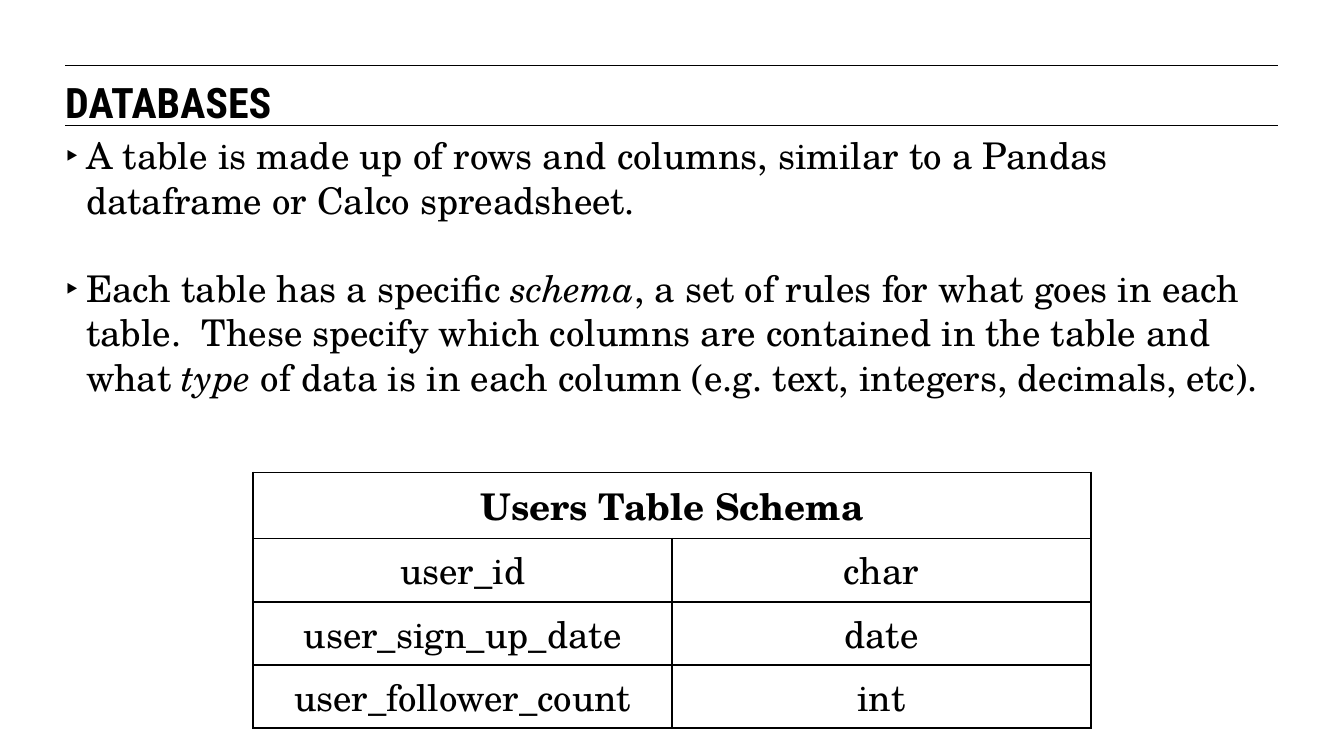
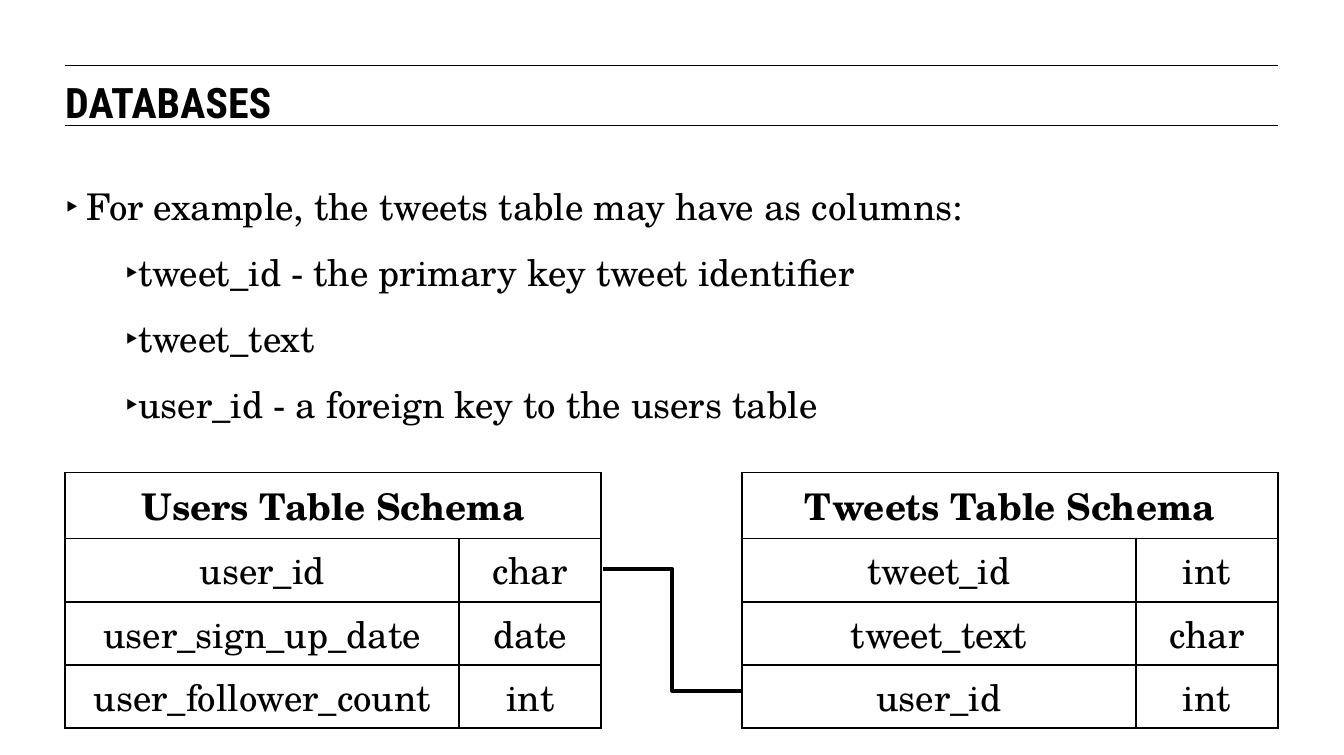
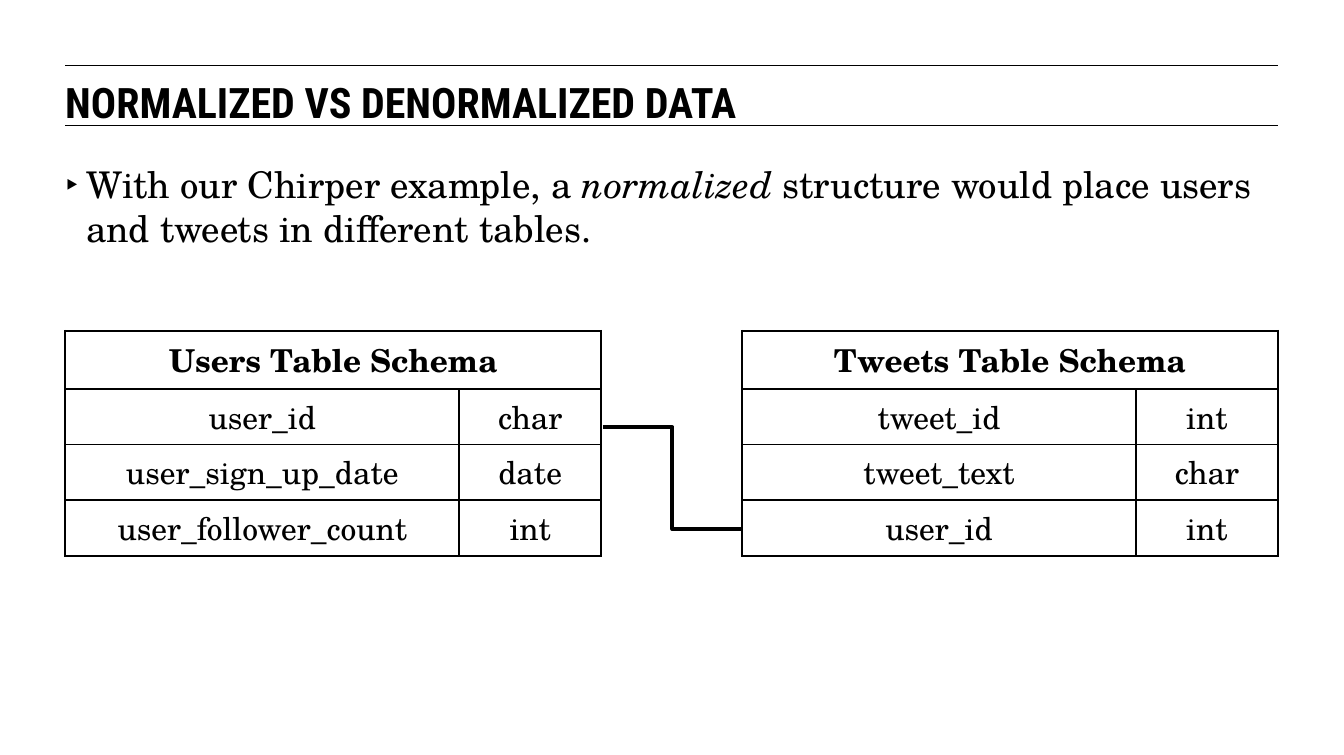
from dataclasses import dataclass

import pptx
import pptx.dml.color
import pptx.enum.shapes
import pptx.enum.text
import pptx.oxml.ns
import pptx.presentation
import pptx.shapes.connector
import pptx.slide
import pptx.table
import pptx.text.text
import pptx.util
from lxml import etree

Inches = pptx.util.Inches
Pt = pptx.util.Pt
qn = pptx.oxml.ns.qn


@dataclass(frozen=True)
class Theme:
    ink: str = "000000"
    title_font: str = "Roboto Condensed"
    body_font: str = "TeX Gyre Schola"
    title_size: float = 32
    body_size: float = 28
    compact_size: float = 24
    rule_width: float = 0.75
    border_width: float = 1.47
    link_width: float = 3
    left: float = 0.69
    width: float = 12.83
    rule_tops: tuple[float, ...] = (0.69, 1.33)


THEME = Theme()
INK = pptx.dml.color.RGBColor.from_string(THEME.ink)
FRAME_FORMAT = {
    "margin_left": 0, "margin_right": 0, "margin_top": 0, "margin_bottom": 0,
    "word_wrap": True,
    "auto_size": pptx.enum.text.MSO_AUTO_SIZE.NONE,
    "vertical_anchor": pptx.enum.text.MSO_ANCHOR.TOP,
}
BULLET_INDENTS = ((0.22, -0.28), (0.72, -0.09))


@dataclass(frozen=True)
class Bullet:
    """A list item; words between asterisks are italic."""
    text: str
    level: int = 0
    spacing: float = 1.0
    gap_before: float = 0


@dataclass(frozen=True)
class Schema:
    title: str
    columns: tuple[tuple[str, str], ...]


@dataclass(frozen=True)
class SchemaPlace:
    schema: Schema
    left: float
    top: float
    widths: tuple[float, float] = (4.17, 1.5)
    row_height: float = 0.64
    size: float = THEME.body_size


@dataclass(frozen=True)
class KeyLink:
    """A foreign-key line between two tables."""
    start: tuple[float, float]
    end: tuple[float, float]


@dataclass(frozen=True)
class Page:
    title: str
    body_top: float
    bullets: tuple[Bullet, ...]
    schemas: tuple[SchemaPlace, ...]
    links: tuple[KeyLink, ...] = ()


USERS = Schema("Users Table Schema", (
    ("user_id", "char"), ("user_sign_up_date", "date"), ("user_follower_count", "int")))
TWEETS = Schema("Tweets Table Schema", (
    ("tweet_id", "int"), ("tweet_text", "char"), ("user_id", "int")))
USERS_LEFT, TWEETS_LEFT, USERS_RIGHT = THEME.left, 7.85, 6.38

PAGES = (
    Page(
        "DATABASES", 1.11,
        (Bullet("A table is made up of rows and columns, similar to a Pandas "
                "dataframe or Calco spreadsheet."),
         Bullet("Each table has a specific *schema*, a set of rules for what goes in each "
                "table.  These specify which columns are contained in the table and what "
                "*type* of data is in each column (e.g. text, integers, decimals, etc).",
                gap_before=34)),
        (SchemaPlace(USERS, 2.68, 5, widths=(4.43, 4.43)),),
    ),
    Page(
        "DATABASES", 1.41,
        (Bullet("For example, the tweets table may have as columns:", spacing=1.5),
         *(Bullet(column, level=1, spacing=1.5) for column in (
             "tweet_id - the primary key tweet identifier",
             "tweet_text",
             "user_id - a foreign key to the users table"))),
        (SchemaPlace(USERS, USERS_LEFT, 5), SchemaPlace(TWEETS, TWEETS_LEFT, 5)),
        (KeyLink((USERS_RIGHT, 6.02), (TWEETS_LEFT, 7.31)),),
    ),
    Page(
        "NORMALIZED VS DENORMALIZED DATA", 1.41,
        (Bullet("With our Chirper example, a *normalized* structure would place users "
                "and tweets in different tables."),),
        tuple(SchemaPlace(schema, left, 3.5, row_height=0.58, size=THEME.compact_size)
              for schema, left in ((USERS, USERS_LEFT), (TWEETS, TWEETS_LEFT))),
        (KeyLink((USERS_RIGHT, 4.52), (TWEETS_LEFT, 5.6)),),
    ),
)


def apply_format(target: object, values: dict[str, object]) -> None:
    for name, value in values.items():
        setattr(target, name, value)


def add_run(paragraph: pptx.text.text._Paragraph, text: str, font: str, size: float,
            bold: bool = False, italic: bool = False) -> None:
    run = paragraph.add_run()
    run.text = text
    apply_format(run.font, {"name": font, "size": Pt(size), "bold": bold, "italic": italic})
    run.font.color.rgb = INK


def add_line(slide: pptx.slide.Slide, kind: pptx.enum.shapes.MSO_CONNECTOR,
             start: tuple[float, float], end: tuple[float, float],
             width: float) -> pptx.shapes.connector.Connector:
    line = slide.shapes.add_connector(kind, *(Inches(value) for value in (*start, *end)))
    line.line.width = Pt(width)
    line.line.color.rgb = INK
    etree.SubElement(line.element.spPr, qn("a:effectLst"))
    return line


def add_layout_rules(layout: pptx.slide.SlideLayout, slide: pptx.slide.Slide) -> None:
    """Draw the title rules on a slide, then move them to its layout."""
    for top in THEME.rule_tops:
        rule = add_line(slide, pptx.enum.shapes.MSO_CONNECTOR.STRAIGHT,
                        (THEME.left, top), (THEME.left + THEME.width, top), THEME.rule_width)
        layout.shapes.element.append(rule.element)


def place_text(placeholder: pptx.shapes.base.BaseShape, top: float,
               height: float) -> pptx.text.text.TextFrame:
    apply_format(placeholder, {
        "left": Inches(THEME.left), "top": Inches(top),
        "width": Inches(THEME.width), "height": Inches(height)})
    apply_format(placeholder.text_frame, FRAME_FORMAT)
    return placeholder.text_frame


def write_title(slide: pptx.slide.Slide, title: str) -> None:
    heading = place_text(slide.shapes.title, 0.81, 0.47).paragraphs[0]
    heading.alignment = pptx.enum.text.PP_ALIGN.LEFT
    add_run(heading, title, THEME.title_font, THEME.title_size, bold=True)


def set_bullet(paragraph: pptx.text.text._Paragraph, level: int) -> None:
    properties = paragraph._p.get_or_add_pPr()
    for name, length in zip(("marL", "indent"), BULLET_INDENTS[level]):
        properties.set(name, str(Inches(length)))
    colour = etree.SubElement(properties, qn("a:buClr"))
    etree.SubElement(colour, qn("a:srgbClr"), val=THEME.ink)
    etree.SubElement(properties, qn("a:buFont"), typeface=THEME.body_font)
    etree.SubElement(properties, qn("a:buChar"), char="‣")


def write_bullets(slide: pptx.slide.Slide, page: Page) -> None:
    body = place_text(slide.placeholders[1], page.body_top, 4.17)
    body.margin_top = Inches(0.3)
    for index, bullet in enumerate(page.bullets):
        item = body.add_paragraph() if index else body.paragraphs[0]
        apply_format(item, {
            "level": bullet.level, "line_spacing": bullet.spacing,
            "space_before": Pt(bullet.gap_before), "space_after": Pt(0)})
        set_bullet(item, bullet.level)
        for part, words in enumerate(bullet.text.split("*")):
            add_run(item, words, THEME.body_font, THEME.body_size, italic=part % 2 == 1)


def set_borders(cell: pptx.table._Cell) -> None:
    properties = cell._tc.get_or_add_tcPr()
    for side in ("lnL", "lnR", "lnT", "lnB"):
        border = etree.SubElement(properties, qn(f"a:{side}"), w=str(Pt(THEME.border_width)))
        fill = etree.SubElement(border, qn("a:solidFill"))
        etree.SubElement(fill, qn("a:srgbClr"), val=THEME.ink)


def add_schema(slide: pptx.slide.Slide, place: SchemaPlace) -> None:
    rows = ((place.schema.title, ""), *place.schema.columns)
    grid = slide.shapes.add_table(
        len(rows), len(place.widths), Inches(place.left), Inches(place.top),
        Inches(sum(place.widths)), Inches(place.row_height * len(rows))).table
    apply_format(grid, {"first_row": False, "horz_banding": False})
    for column, width in zip(grid.columns, place.widths):
        column.width = Inches(width)
    for row_index, row in enumerate(rows):
        grid.rows[row_index].height = Inches(place.row_height)
        for column_index, text in enumerate(row):
            cell = grid.cell(row_index, column_index)
            set_borders(cell)
            cell.fill.background()
            if text:
                entry = cell.text_frame.paragraphs[0]
                entry.alignment = pptx.enum.text.PP_ALIGN.CENTER
                add_run(entry, text, THEME.body_font, place.size, bold=row_index == 0)
    grid.cell(0, 0).merge(grid.cell(0, len(place.widths) - 1))


def add_page(deck: pptx.presentation.Presentation, layout: pptx.slide.SlideLayout,
             page: Page) -> pptx.slide.Slide:
    slide = deck.slides.add_slide(layout)
    write_title(slide, page.title)
    write_bullets(slide, page)
    for place in page.schemas:
        add_schema(slide, place)
    for link in page.links:
        add_line(slide, pptx.enum.shapes.MSO_CONNECTOR.ELBOW, link.start, link.end,
                 THEME.link_width)
    return slide


def main() -> None:
    deck = pptx.Presentation()
    apply_format(deck, {"slide_width": Inches(14.22), "slide_height": Inches(7.99)})
    layout = deck.slide_layouts[1]
    slides = [add_page(deck, layout, page) for page in PAGES]
    add_layout_rules(layout, slides[0])
    deck.save("out.pptx")


if __name__ == "__main__":
    main()
